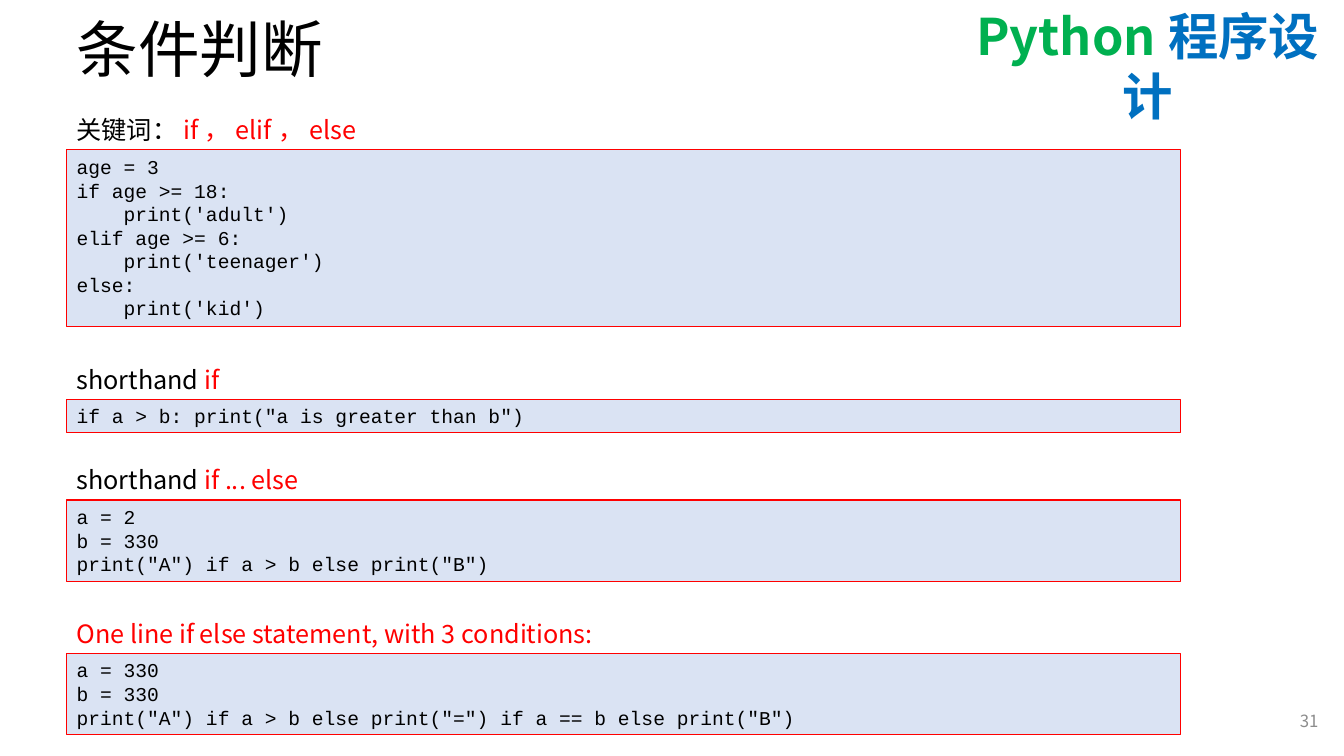
from dataclasses import dataclass

from lxml.etree import SubElement
from pptx import Presentation
from pptx.dml.color import RGBColor
from pptx.enum.shapes import MSO_SHAPE as Shape
from pptx.enum.text import MSO_ANCHOR as Anchor, MSO_AUTO_SIZE as AutoSize, PP_ALIGN as Align
from pptx.oxml.ns import qn
from pptx.util import Cm, Pt


@dataclass(frozen=True)
class Theme:
    black: str = "000000"
    red: str = "FF0000"
    green: str = "00B050"
    blue: str = "0070C0"
    gray: str = "8C8C8C"
    white: str = "FFFFFF"
    code_fill: str = "DAE3F3"
    sans: str = "Noto Sans CJK SC"
    heading: str = "Arial"
    mono: str = "Courier New"
    title_size: int = 44
    banner_size: int = 36
    caption_size: int = 18
    code_size: int = 14
    number_size: int = 12


THEME = Theme()
LEFT = 1.68
CODE_WIDTH = 28.07
CAPTION_WIDTH = 29.64
CAPTION_HEIGHT = 1.02
LINE_HEIGHT = 0.6
CODE_PADDING = 0.25

SECTIONS = [
    (3.78, [("关键词：", THEME.black), ("if，elif，else", THEME.red)],
     """age = 3
if age >= 18:
    print('adult')
elif age >= 6:
    print('teenager')
else:
    print('kid')"""),
    (10.06, [("shorthand ", THEME.black), ("if", THEME.red)],
     'if a > b: print("a is greater than b")'),
    (12.6, [("shorthand ", THEME.black), ("if ... else", THEME.red)],
     """a = 2
b = 330
print("A") if a > b else print("B")"""),
    (16.46, [("One line if else statement, with 3 conditions:", THEME.red)],
     """a = 330
b = 330
print("A") if a > b else print("=") if a == b else print("B")"""),
]


def apply_format(target, values):
    for name, value in values.items():
        setattr(target, name, value)


def format_frame(frame, anchor=Anchor.TOP):
    apply_format(frame, {
        "word_wrap": True,
        "auto_size": AutoSize.NONE,
        "vertical_anchor": anchor,
        "margin_left": Cm(0.25),
        "margin_right": Cm(0.25),
        "margin_top": Cm(0.13),
        "margin_bottom": Cm(0.13),
    })


def add_span(para, text, font, size, color, bold=False):
    span = para.add_run()
    span.text = text
    apply_format(span.font, {"name": font, "size": Pt(size), "bold": bold})
    span.font.color.rgb = RGBColor.from_string(color)
    SubElement(span.font._element, qn("a:ea"), typeface=THEME.sans)
    return span


def outline_span(span, color):
    line = SubElement(span.font._element, qn("a:ln"), w=str(Pt(0.75)))
    fill = SubElement(line, qn("a:solidFill"))
    SubElement(fill, qn("a:srgbClr"), val=color)
    span.font._element.insert(0, line)


def add_text(page, place, spans, font, size, align=Align.LEFT, anchor=Anchor.TOP, bold=False):
    box = page.shapes.add_textbox(*map(Cm, place))
    format_frame(box.text_frame, anchor)
    para = box.text_frame.paragraphs[0]
    para.alignment = align
    return [add_span(para, text, font, size, color, bold) for text, color in spans]


def add_banner(page):
    spans = add_text(page, (24.05, 0, 9.75, 1.8),
                     [("Python", THEME.green), ("程序设计", THEME.blue)],
                     THEME.sans, THEME.banner_size, Align.CENTER, bold=True)
    for span in spans:
        outline_span(span, THEME.white)


def set_title(page, text):
    title = page.shapes.title
    apply_format(title, {"left": Cm(LEFT), "top": Cm(0), "width": Cm(29.21), "height": Cm(2.67)})
    format_frame(title.text_frame, Anchor.MIDDLE)
    para = title.text_frame.paragraphs[0]
    apply_format(para, {"alignment": Align.LEFT, "line_spacing": 0.9})
    add_span(para, text, THEME.heading, THEME.title_size, THEME.black)


def add_code(page, top, code):
    lines = code.split("\n")
    height = len(lines) * LINE_HEIGHT + CODE_PADDING
    box = page.shapes.add_shape(Shape.RECTANGLE, Cm(LEFT), Cm(top), Cm(CODE_WIDTH), Cm(height))
    box.shadow.inherit = False
    box.fill.solid()
    box.fill.fore_color.rgb = RGBColor.from_string(THEME.code_fill)
    box.line.color.rgb = RGBColor.from_string(THEME.red)
    box.line.width = Pt(0.75)
    frame = box.text_frame
    format_frame(frame)
    for index, line in enumerate(lines):
        para = frame.add_paragraph() if index else frame.paragraphs[0]
        para.alignment = Align.LEFT
        add_span(para, line, THEME.mono, THEME.code_size, THEME.black)


def add_section(page, top, caption, code):
    add_code(page, top, code)
    add_text(page, (LEFT, top - CAPTION_HEIGHT, CAPTION_WIDTH, CAPTION_HEIGHT),
             caption, THEME.sans, THEME.caption_size)


def main():
    deck = Presentation()
    apply_format(deck, {"slide_width": Cm(33.87), "slide_height": Cm(19.05)})
    page = deck.slides.add_slide(deck.slide_layouts[5])
    add_banner(page)
    set_title(page, "条件判断")
    add_text(page, (25.86, 17.65, 7.62, 1.02), [("31", THEME.gray)],
             THEME.sans, THEME.number_size, Align.RIGHT, Anchor.MIDDLE)
    for top, caption, code in SECTIONS:
        add_section(page, top, caption, code)
    deck.save("out.pptx")


if __name__ == "__main__":
    main()
